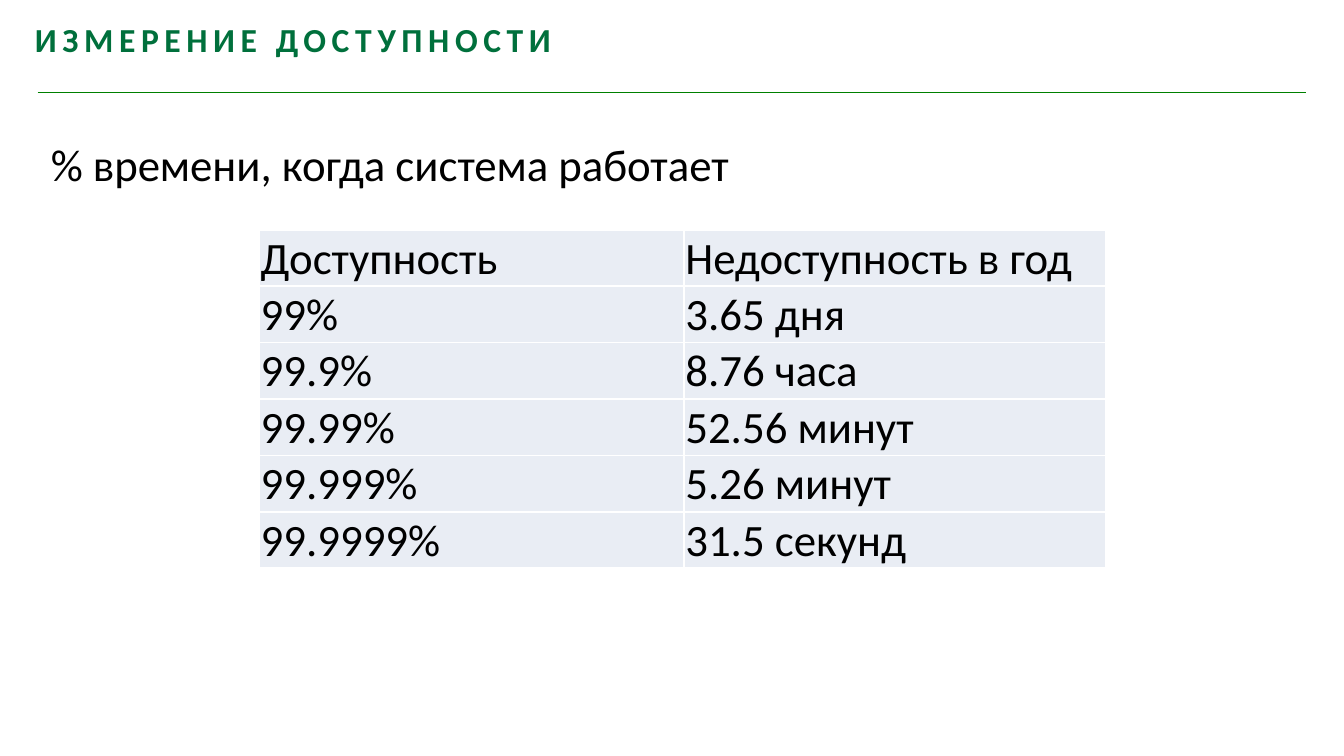
import pptx
import pptx.dml.color
import pptx.enum.shapes
import pptx.enum.text
import pptx.oxml
import pptx.oxml.ns
import pptx.util

WIDTH = 10
HEIGHT = WIDTH * 9 / 16
FONT = "Calibri"
ROWS = [
    ("Доступность", "Недоступность в год"),
    ("99%", "3.65 дня"),
    ("99.9%", "8.76 часа"),
    ("99.99%", "52.56 минут"),
    ("99.999%", "5.26 минут"),
    ("99.9999%", "31.5 секунд"),
]


def color(value):
    """Return the colour for a hex string."""
    return pptx.dml.color.RGBColor.from_string(value)


def inches(*values):
    """Convert numbers of inches to lengths."""
    return [pptx.util.Inches(value) for value in values]


def style(paragraph, size, value, bold=False):
    """Set the font of a paragraph."""
    font = paragraph.font
    font.name, font.size, font.bold = FONT, pptx.util.Pt(size), bold
    font.color.rgb = color(value)


def add_text(slide, box, text, size, value, bold=False):
    """Add a wrapping one-paragraph text box and return its frame."""
    frame = slide.shapes.add_textbox(*inches(*box)).text_frame
    frame.word_wrap = True
    paragraph = frame.paragraphs[0]
    paragraph.text = text
    style(paragraph, size, value, bold)
    return frame


def add_header(slide, box):
    """Place the spaced title at the top of the box and a rule along its bottom."""
    left, top, width, height = box
    frame = add_text(slide, (left - 0.02, top, width * 0.76, 0.35),
                     "ИЗМЕРЕНИЕ ДОСТУПНОСТИ", 18, "00703C", True)
    frame.margin_left, frame.margin_top, frame.margin_bottom = inches(0, 0.05, 0)
    frame.paragraphs[0].runs[0]._r.get_or_add_rPr().set("spc", "300")
    bottom = top + height
    rule = slide.shapes.add_connector(
        pptx.enum.shapes.MSO_CONNECTOR.STRAIGHT,
        *inches(left, bottom, left + width, bottom))
    rule.line.color.rgb = color("008000")
    rule.line.width = pptx.util.Pt(0.75)
    rule._element.spPr.append(pptx.oxml.parse_xml(
        f"<a:effectLst {pptx.oxml.ns.nsdecls('a')}/>"))


def add_intro(slide, box):
    """Place the sentence that introduces the table."""
    frame = add_text(slide, box, "% времени, когда система работает", 24, "000000")
    frame.paragraphs[0].line_spacing = 1.5


def add_borders(cell, value, width):
    """Draw all four borders of a cell."""
    properties = cell._tc.get_or_add_tcPr()
    for side in ("lnL", "lnR", "lnT", "lnB"):
        properties.append(pptx.oxml.parse_xml(
            f'<a:{side} {pptx.oxml.ns.nsdecls("a")} w="{pptx.util.Pt(width)}">'
            f'<a:solidFill><a:srgbClr val="{value}"/></a:solidFill></a:{side}>'))


def add_availability_table(slide, box):
    """Fill the box with the table of availability and yearly downtime."""
    table = slide.shapes.add_table(len(ROWS), len(ROWS[0]), *inches(*box)).table
    table.first_row = table.horz_banding = False
    table.columns[0].width, table.columns[1].width = inches(3.16, box[2] - 3.16)
    for row, texts in enumerate(ROWS):
        for column, text in enumerate(texts):
            cell = table.cell(row, column)
            cell.text = text
            style(cell.text_frame.paragraphs[0], 24, "000000")
            cell.vertical_anchor = pptx.enum.text.MSO_ANCHOR.BOTTOM
            cell.margin_left = cell.margin_right = cell.margin_top = pptx.util.Inches(0.01)
            cell.margin_bottom = 0
            add_borders(cell, "FFFFFF", 1)
            cell.fill.solid()
            cell.fill.fore_color.rgb = color("E9EDF4")


def main():
    """Build and save the presentation."""
    presentation = pptx.Presentation()
    presentation.slide_width, presentation.slide_height = inches(WIDTH, HEIGHT)
    slide = presentation.slides.add_slide(presentation.slide_layouts[6])
    margin = WIDTH * 0.028
    add_header(slide, (margin, 0.09, WIDTH - 2 * margin, 0.6))
    add_availability_table(slide, (1.93, 1.71, WIDTH * 0.63, 0.42 * len(ROWS)))
    add_intro(slide, (margin, 0.77, 9.37, 0.64))
    presentation.save("out.pptx")


if __name__ == "__main__":
    main()
